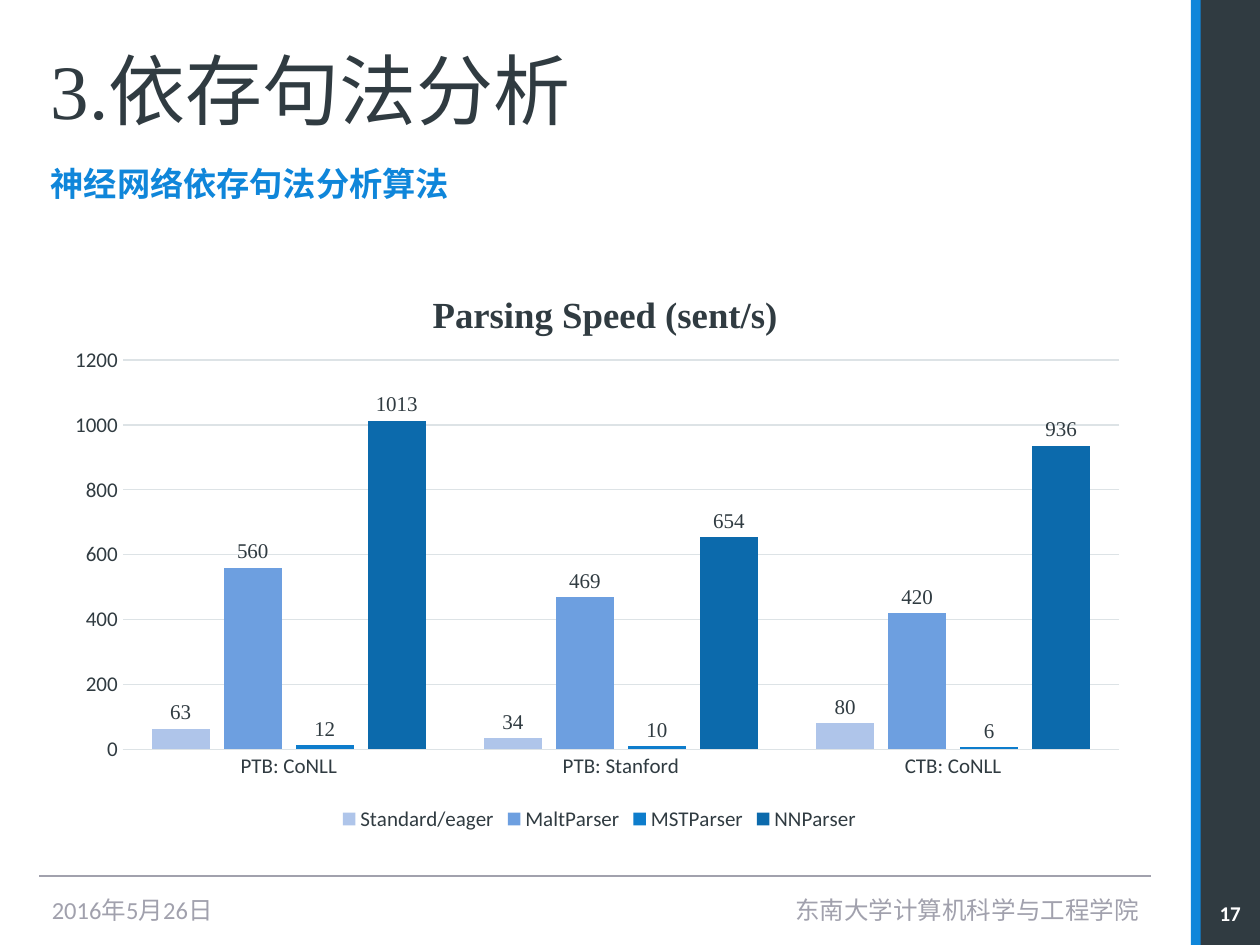
from dataclasses import dataclass

from lxml import etree
from pptx import Presentation
from pptx import util as u
from pptx.chart import data as chart_data
from pptx.dml.color import RGBColor
from pptx.enum import chart as charts, shapes, text
from pptx.oxml import parse_xml
from pptx.oxml.ns import nsdecls, qn

Pt = u.Pt

BLUE = RGBColor(0x0F, 0x86, 0xDA)
DARK = RGBColor(0x30, 0x3B, 0x41)
GRAY = RGBColor(0xA1, 0xA1, 0xAD)
GRID = RGBColor(0xDD, 0xE3, 0xE6)
WHITE = RGBColor(0xFF, 0xFF, 0xFF)
SANS, SERIF = "Calibri", "Times New Roman"


@dataclass(frozen=True)
class Area:
    left: float
    top: float
    width: float
    height: float

    def lengths(self) -> tuple:
        return Pt(self.left), Pt(self.top), Pt(self.width), Pt(self.height)


@dataclass(frozen=True)
class Parser:
    name: str
    speeds: tuple
    color: RGBColor


CORPORA = ("PTB: CoNLL", "PTB: Stanford", "CTB: CoNLL")
PARSERS = (
    Parser("Standard/eager", (63, 34, 80), RGBColor(0xAF, 0xC5, 0xEA)),
    Parser("MaltParser", (560, 469, 420), RGBColor(0x6D, 0x9F, 0xE0)),
    Parser("MSTParser", (12, 10, 6), RGBColor(0x0E, 0x7D, 0xCC)),
    Parser("NNParser", (1013, 654, 936), RGBColor(0x0C, 0x6A, 0xAC)),
)


def set_font(font, size: float, color: RGBColor, name: str, bold: bool = False) -> None:
    font.size, font.name, font.bold = Pt(size), name, bold
    font.color.rgb = color


def add_text(page, area: Area, words: str, *, size: float, color: RGBColor,
             font: str = SANS, bold: bool = False,
             align=text.PP_ALIGN.LEFT, anchor=text.MSO_ANCHOR.MIDDLE) -> None:
    frame = page.shapes.add_textbox(*area.lengths()).text_frame
    frame.word_wrap = True
    frame.vertical_anchor = anchor
    para = frame.paragraphs[0]
    para.alignment = align
    span = para.add_run()
    span.text = words
    set_font(span.font, size, color, font, bold)


def add_band(page, area: Area, color: RGBColor) -> None:
    band = page.shapes.add_shape(shapes.MSO_SHAPE.RECTANGLE, *area.lengths())
    band.shadow.inherit = False
    band.fill.solid()
    band.fill.fore_color.rgb = color
    band.line.fill.background()


def add_rule(page, left: float, right: float, top: float) -> None:
    rule = page.shapes.add_connector(
        shapes.MSO_CONNECTOR.STRAIGHT, Pt(left), Pt(top), Pt(right), Pt(top))
    rule.line.color.rgb = GRAY
    rule.line.width = Pt(0.79)
    etree.SubElement(rule._element.spPr, qn("a:effectLst"))


def make_layout(inner: bool = False, **fractions: float):
    """Manual chart layout, in fractions of the chart's size."""
    target = '<c:layoutTarget val="inner"/>' if inner else ""
    modes = "".join(f'<c:{axis}Mode val="edge"/>' for axis in "xy")
    places = "".join(f'<c:{key} val="{value}"/>' for key, value in fractions.items())
    return parse_xml(f'<c:layout {nsdecls("c")}><c:manualLayout>{target}{modes}{places}'
                     "</c:manualLayout></c:layout>")


def place(parent, layout) -> None:
    """Replace the layout of a chart title or plot area."""
    for old in parent.findall(qn("c:layout")):
        parent.remove(old)
    text_part = parent.find(qn("c:tx"))
    parent.insert(0 if text_part is None else 1, layout)


def style_axis(axis) -> None:
    axis.major_tick_mark = axis.minor_tick_mark = charts.XL_TICK_MARK.NONE
    set_font(axis.tick_labels.font, 12, DARK, SANS)


def style_line(line) -> None:
    line.color.rgb = GRID
    line.width = Pt(0.75)


def add_speed_chart(page, area: Area) -> None:
    data = chart_data.CategoryChartData()
    data.categories = CORPORA
    for parser in PARSERS:
        data.add_series(parser.name, parser.speeds)
    chart = page.shapes.add_chart(
        charts.XL_CHART_TYPE.COLUMN_CLUSTERED, *area.lengths(), data).chart
    set_font(chart.font, 12, DARK, SANS)

    # Title
    chart.has_title = True
    span = chart.chart_title.text_frame.paragraphs[0].add_run()
    span.text = "Parsing Speed (sent/s)"
    set_font(span.font, 21, DARK, SERIF, bold=True)
    chart.chart_title.include_in_layout = False
    place(chart.chart_title._element, make_layout(x=0.34, y=0.05))

    # Legend
    chart.has_legend = True
    chart.legend.position = charts.XL_LEGEND_POSITION.BOTTOM
    chart.legend.include_in_layout = False
    set_font(chart.legend.font, 12, DARK, SANS)

    # Axes
    style_axis(chart.category_axis)
    style_line(chart.category_axis.format.line)
    values = chart.value_axis
    style_axis(values)
    values.minimum_scale, values.maximum_scale, values.major_unit = 0, 1200, 200
    values.format.line.fill.background()
    style_line(values.major_gridlines.format.line)

    # Columns and their labels
    plot = chart.plots[0]
    plot.gap_width, plot.overlap, plot.vary_by_categories = 100, -24, False
    for series, parser in zip(plot.series, PARSERS):
        series.format.fill.solid()
        series.format.fill.fore_color.rgb = parser.color
        labels = series.data_labels
        labels.show_value = True
        labels.position = charts.XL_LABEL_POSITION.OUTSIDE_END
        set_font(labels.font, 12, DARK, SERIF)
    plot_area = chart._chartSpace.chart.plotArea
    place(plot_area, make_layout(inner=True, x=0.06, y=0.18, w=0.92, h=0.67))


def main() -> None:
    deck = Presentation()
    deck.slide_width, deck.slide_height = Pt(720), Pt(540)
    page = deck.slides.add_slide(deck.slide_layouts[6])

    # Side bands and footer rule
    add_band(page, Area(680.5, 0, 39.5, 540), BLUE)
    add_band(page, Area(686, 0, 34, 540), DARK)
    add_rule(page, 22.5, 658, 500.5)

    # Headings
    add_text(page, Area(22, 12, 642, 78), "3.依存句法分析", size=44, color=DARK, font=SERIF)
    add_text(page, Area(22, 90, 642, 28), "神经网络依存句法分析算法", size=19, color=BLUE,
             font=SERIF, bold=True, anchor=text.MSO_ANCHOR.TOP)

    add_speed_chart(page, Area(33, 146, 619, 332))

    # Footer
    add_text(page, Area(22.5, 505.5, 140, 29), "2016年5月26日", size=14, color=GRAY)
    add_text(page, Area(231, 505.5, 427, 29), "东南大学计算机科学与工程学院", size=14,
             color=GRAY, align=text.PP_ALIGN.RIGHT)
    add_text(page, Area(686, 512, 34, 19.5), "17", size=12, color=WHITE, bold=True,
             align=text.PP_ALIGN.CENTER)

    deck.save("out.pptx")


if __name__ == "__main__":
    main()
